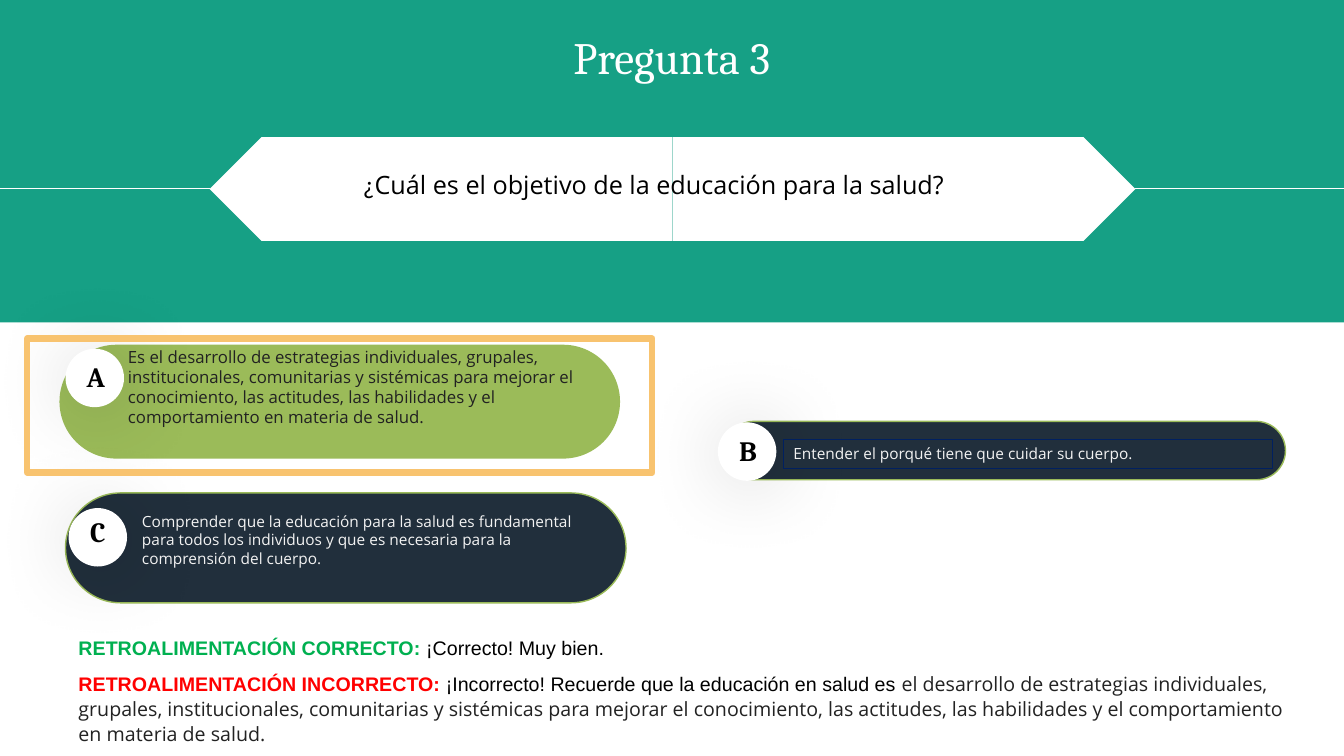
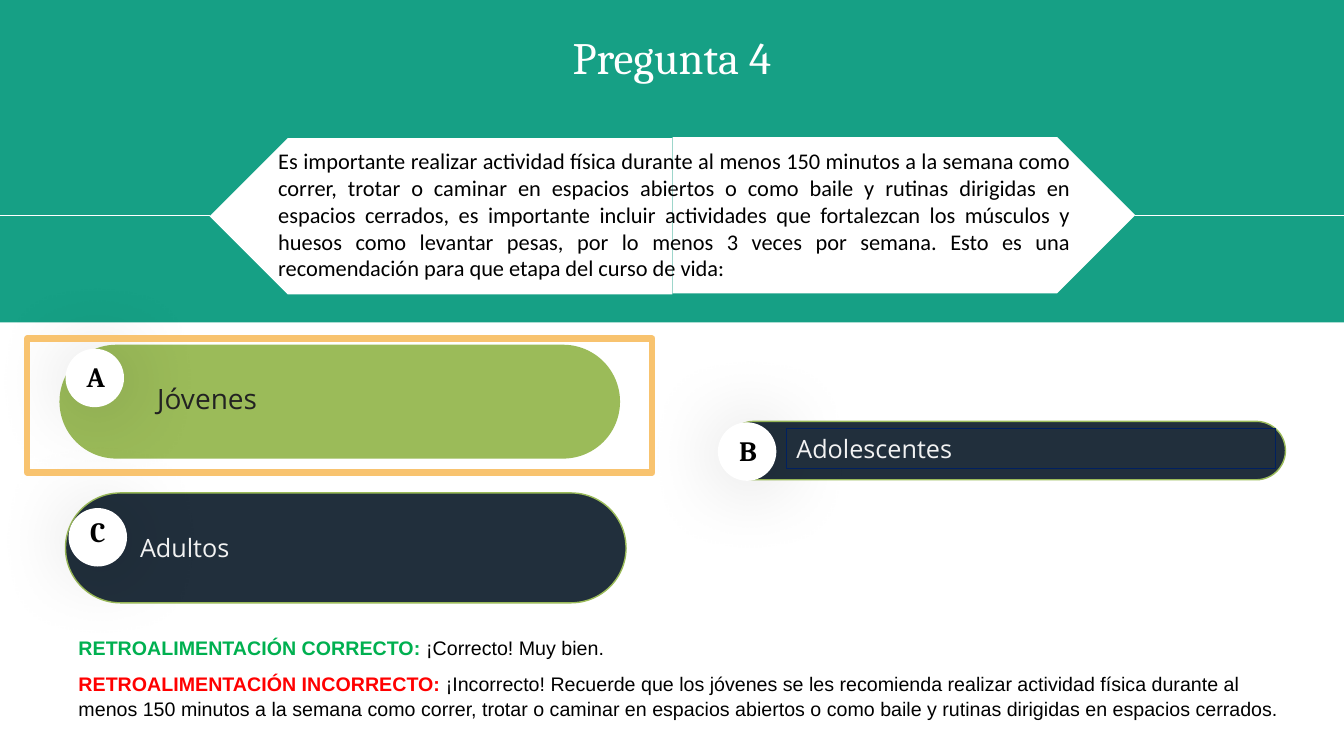
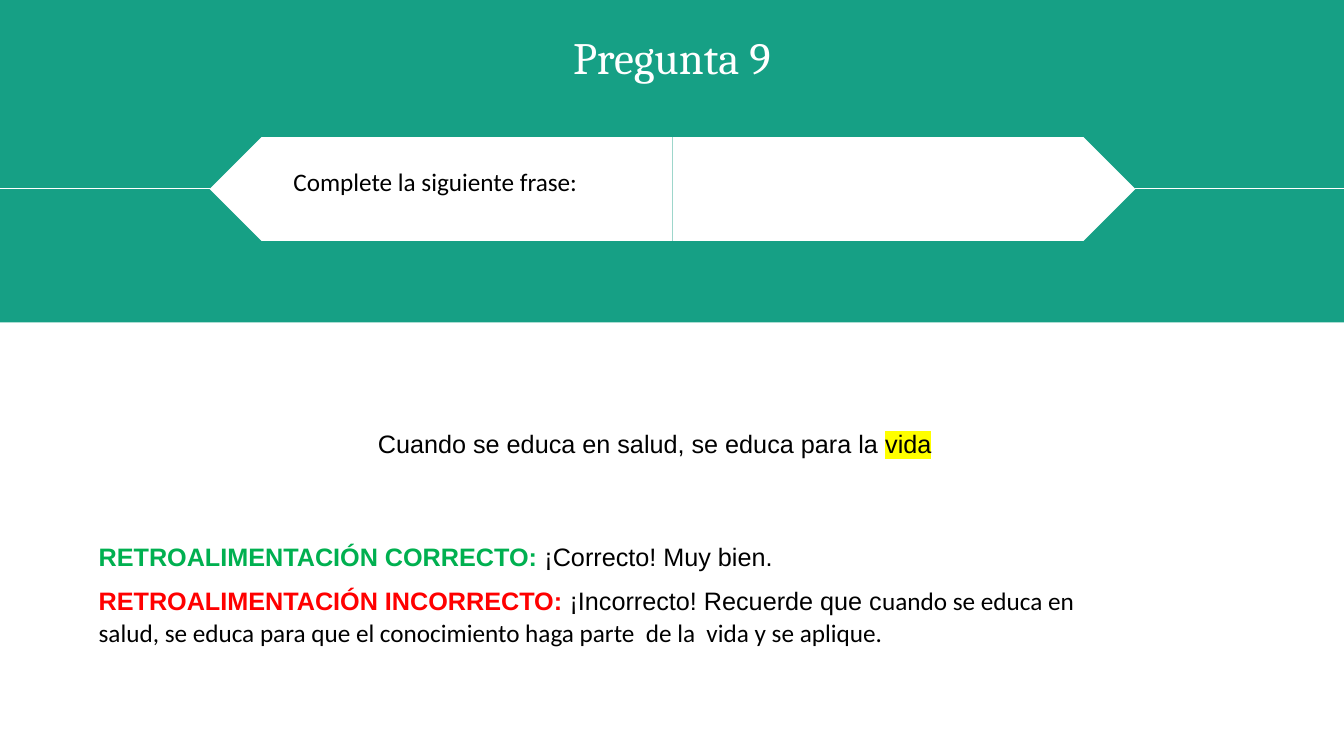
"""Build three quiz slides that share a band, a question banner and feedback."""
from dataclasses import dataclass
from typing import NamedTuple, Optional

from lxml import etree
from pptx import Presentation
from pptx import util as u
from pptx.dml.color import RGBColor
from pptx.enum import shapes, text
from pptx.oxml.ns import qn
from pptx.shapes.autoshape import Shape
from pptx.slide import Slide

EMU_PER_PX = 9144
MSO = shapes.MSO_SHAPE
ALIGN = text.PP_ALIGN
ANCHOR = text.MSO_ANCHOR


@dataclass(frozen=True)
class Theme:
    band: str = "16A085"
    white: str = "FFFFFF"
    black: str = "000000"
    navy: str = "212F3C"
    navy_edge: str = "002060"
    lime: str = "9BBB59"
    frame: str = "F8C36F"
    pale: str = "F2F2F2"
    ink: str = "222222"
    correct: str = "00B050"
    wrong: str = "FF0000"
    marker: str = "FFFF00"
    serif: str = "Cambria"
    sans: str = "Open Sans"
    plain: str = "Arial"
    body: str = "Calibri"
    title: int = 32
    letter: int = 20
    large: int = 20
    medium: int = 18
    question: int = 16
    feedback: int = 14
    answer: int = 12
    small: int = 11


T = Theme()


class Box(NamedTuple):
    x: int
    y: int
    w: int
    h: int


@dataclass(frozen=True)
class Span:
    text: str
    font: str
    size: int
    color: str = T.black
    bold: bool = False
    highlight: Optional[str] = None


@dataclass(frozen=True)
class Option:
    letter: str
    pill: Box
    disc: Box
    label: Box
    fill: str
    outline: Optional[str]
    answer_fill: Optional[str] = None


@dataclass(frozen=True)
class Answer:
    box: Box
    span: Span


@dataclass(frozen=True)
class Question:
    spans: list[Span]
    box: Box
    height: int = 103
    left_drop: int = 0
    align: ALIGN = ALIGN.LEFT


@dataclass(frozen=True)
class Feedback:
    box: Box
    size: int
    wrong: list[Span]


@dataclass(frozen=True)
class Quiz:
    title: str
    question: Question
    feedback: Feedback
    answers: tuple[Answer, ...] = ()
    phrase: Optional[list[Span]] = None


BAND = Box(0, 0, 1333, 320)
TITLE = Box(0, 24, 1333, 64)
FRAME = Box(27, 336, 620, 133)
PHRASE = Box(365, 420, 667, 40)
PLATE_X, PLATE_Y, PLATE_W = 208, 136, 459

OPTIONS = (
    Option("B", Box(719, 418, 556, 58), Box(712, 419, 58, 58),
           Box(724, 430, 36, 34), T.navy, T.lime, T.navy),
    Option("A", Box(59, 342, 556, 113), Box(65, 346, 58, 58),
           Box(77, 356, 36, 34), T.lime, None),
    Option("C", Box(65, 489, 556, 109), Box(68, 504, 58, 58),
           Box(79, 510, 36, 34), T.navy, T.lime),
)

QUIZZES = (
    Quiz(
        "Pregunta 3",
        Question([Span("¿", T.body, T.medium),
                  Span("Cuál es el objetivo de la educación para la salud?",
                       T.sans, T.medium)],
                 Box(360, 166, 776, 34)),
        Feedback(Box(68, 624, 1235, 141), T.feedback, [
            Span("¡Incorrecto! Recuerde que la educación en salud es ", T.plain, T.feedback),
            Span("el desarrollo de estrategias individuales, grupales, institucionales, "
                 "comunitarias y sistémicas para mejorar el conocimiento, las actitudes, "
                 "las habilidades y el comportamiento en materia de salud.",
                 T.sans, T.feedback, T.ink)]),
        (Answer(Box(777, 436, 485, 29),
                Span("Entender el porqué tiene que cuidar su cuerpo.",
                     T.sans, T.small, T.pale)),
         Answer(Box(117, 339, 485, 91),
                Span("Es el desarrollo de estrategias individuales, grupales, "
                     "institucionales, comunitarias y sistémicas para mejorar el "
                     "conocimiento, las actitudes, las habilidades y el "
                     "comportamiento en materia de salud.",
                     T.sans, T.answer, T.ink)),
         Answer(Box(131, 503, 471, 66),
                Span("Comprender que la educación para la salud es fundamental para "
                     "todos los individuos y que es necesaria para la comprensión "
                     "del cuerpo.", T.sans, T.small, T.pale))),
    ),
    Quiz(
        "Pregunta 4",
        Question([Span("Es importante realizar actividad física durante al menos 150 "
                       "minutos a la semana como correr, trotar o caminar en espacios "
                       "abiertos o como baile y rutinas dirigidas en espacios cerrados, "
                       "es importante incluir actividades que fortalezcan los músculos "
                       "y huesos como levantar pesas, por lo menos 3 veces por semana. "
                       "Esto es una recomendación para que etapa del curso de vida:",
                       T.body, T.question)],
                 Box(276, 145, 786, 135), 155, 1, ALIGN.JUSTIFY),
        Feedback(Box(68, 624, 1235, 94), T.feedback, [
            Span("¡Incorrecto! Recuerde que los jóvenes se les recomienda realizar "
                 "actividad física durante al menos 150 minutos a la semana como correr, "
                 "trotar o caminar en espacios abiertos o como baile y rutinas dirigidas "
                 "en espacios cerrados.", T.plain, T.feedback)]),
        (Answer(Box(780, 425, 485, 40), Span("Adolescentes", T.sans, T.medium, T.pale)),
         Answer(Box(146, 374, 485, 44), Span("Jóvenes", T.sans, T.large, T.ink)),
         Answer(Box(129, 523, 471, 40), Span("Adultos", T.sans, T.medium, T.pale))),
    ),
    Quiz(
        "Pregunta 9",
        Question([Span("Complete la siguiente frase:", T.body, T.medium)],
                 Box(291, 165, 776, 30)),
        Feedback(Box(88, 530, 1021, 145), T.medium, [
            Span("¡Incorrecto! Recuerde que c", T.plain, T.medium),
            Span("uando se educa en salud, se educa para que el conocimiento haga "
                 "parte  de la  vida y se aplique.", T.body, T.medium)]),
        phrase=[Span("Cuando se educa en salud, se educa para la ", T.plain, T.medium),
                Span("vida", T.plain, T.medium, highlight=T.marker)],
    ),
)


def px(n: int) -> u.Emu:
    return u.Emu(n * EMU_PER_PX)


def place(box: Box) -> tuple[u.Emu, ...]:
    return tuple(px(n) for n in box)


def rgb(color: str) -> RGBColor:
    return RGBColor.from_string(color)


def paint(sp: Shape, fill: Optional[str], line: Optional[str] = None, width: float = 1) -> None:
    if fill:
        sp.fill.solid()
        sp.fill.fore_color.rgb = rgb(fill)
    else:
        sp.fill.background()
    if line:
        sp.line.color.rgb = rgb(line)
        sp.line.width = u.Pt(width)
    else:
        sp.line.fill.background()


def add_shape(s: Slide, kind: MSO, box: Box, fill: Optional[str],
              line: Optional[str] = None, width: float = 1) -> Shape:
    sp = s.shapes.add_shape(kind, *place(box))
    sp.shadow.inherit = False
    paint(sp, fill, line, width)
    return sp


def style_run(r, span: Span) -> None:
    r.font.name = span.font
    r.font.size = u.Pt(span.size)
    r.font.bold = span.bold
    r.font.color.rgb = rgb(span.color)
    if span.highlight:
        mark = etree.Element(qn("a:highlight"))
        etree.SubElement(mark, qn("a:srgbClr"), val=span.highlight)
        r._r.get_or_add_rPr().find(qn("a:latin")).addprevious(mark)


def add_text(s: Slide, box: Box, paragraphs: list[list[Span]], align: ALIGN = ALIGN.LEFT,
             anchor: ANCHOR = ANCHOR.TOP, inset: bool = True) -> Shape:
    sp = s.shapes.add_textbox(*place(box))
    tf = sp.text_frame
    tf.word_wrap = True
    tf.auto_size = text.MSO_AUTO_SIZE.SHAPE_TO_FIT_TEXT
    tf.vertical_anchor = anchor
    if not inset:
        tf.margin_left = tf.margin_right = tf.margin_top = tf.margin_bottom = 0
    for i, spans in enumerate(paragraphs):
        p = tf.add_paragraph() if i else tf.paragraphs[0]
        p.alignment = align
        for span in spans:
            r = p.add_run()
            r.text = span.text
            style_run(r, span)
    return sp


def add_title(s: Slide, title: str) -> None:
    sp = s.shapes.title
    sp.left, sp.top, sp.width, sp.height = place(TITLE)
    tf = sp.text_frame
    tf.text = title
    tf.vertical_anchor = ANCHOR.TOP
    p = tf.paragraphs[0]
    p.alignment = ALIGN.CENTER
    style_run(p.runs[0], Span(title, T.serif, T.title, T.white))
    band = add_shape(s, MSO.RECTANGLE, BAND, T.band)
    sp.element.addprevious(band.element)


def add_soft_shadow(sp: Shape) -> None:
    effects = sp.element.spPr.find(qn("a:effectLst"))
    shadow = etree.SubElement(effects, qn("a:outerShdw"), blurRad=str(u.Pt(59)),
                              dist=str(u.Pt(3)), dir="2700000", algn="tl", rotWithShape="0")
    color = etree.SubElement(shadow, qn("a:srgbClr"), val=T.black)
    etree.SubElement(color, qn("a:alpha"), val="20000")


def add_option(s: Slide, option: Option, answer: Answer) -> None:
    pill = add_shape(s, MSO.ROUNDED_RECTANGLE, option.pill, option.fill, option.outline)
    pill.adjustments[0] = 0.5
    add_soft_shadow(add_shape(s, MSO.OVAL, option.disc, T.white))
    letter = Span(option.letter, T.serif, T.letter, bold=True)
    add_text(s, option.label, [[letter]], ALIGN.CENTER, ANCHOR.MIDDLE, inset=False)
    sp = add_text(s, answer.box, [[answer.span]])
    if option.answer_fill:
        paint(sp, option.answer_fill, T.navy_edge, 0.75)


def add_rule(s: Slide, x1: int, x2: int, y: int) -> None:
    rule = s.shapes.add_connector(shapes.MSO_CONNECTOR.STRAIGHT, x1, y, x2, y)
    rule.line.color.rgb = rgb(T.white)
    rule.line.width = u.Pt(0.75)
    etree.SubElement(rule.element.spPr, qn("a:effectLst"))


def add_question(s: Slide, q: Question) -> None:
    right = add_shape(s, MSO.PENTAGON,
                      Box(PLATE_X + PLATE_W, PLATE_Y, PLATE_W, q.height), T.white)
    left = add_shape(s, MSO.PENTAGON,
                     Box(PLATE_X, PLATE_Y + q.left_drop, PLATE_W, q.height), T.white)
    left.element.spPr.find(qn("a:xfrm")).set("flipH", "1")
    add_text(s, q.box, [q.spans], q.align, ANCHOR.MIDDLE, inset=False)
    middle = right.top + right.height // 2
    add_rule(s, right.left + right.width, px(BAND.w), middle)
    add_rule(s, 0, left.left, middle)


def add_feedback(s: Slide, f: Feedback) -> None:
    good = [Span("RETROALIMENTACIÓN CORRECTO: ", T.plain, f.size, T.correct, True),
            Span("¡Correcto! Muy bien.", T.plain, f.size)]
    bad = [Span("RETROALIMENTACIÓN INCORRECTO: ", T.plain, f.size, T.wrong, True), *f.wrong]
    sp = add_text(s, f.box, [good, bad])
    for p in sp.text_frame.paragraphs:
        p.line_spacing = 1.07
    sp.text_frame.paragraphs[1].space_before = u.Pt(8)


def add_quiz(prs, quiz: Quiz) -> None:
    s = prs.slides.add_slide(prs.slide_layouts.get_by_name("Title Only"))
    add_title(s, quiz.title)
    for option, answer in zip(OPTIONS, quiz.answers):
        add_option(s, option, answer)
    add_question(s, quiz.question)
    if quiz.phrase:
        add_text(s, PHRASE, [quiz.phrase])
    add_feedback(s, quiz.feedback)
    if quiz.answers:
        add_shape(s, MSO.RECTANGLE, FRAME, None, T.frame, 4.5)


def main() -> None:
    prs = Presentation()
    prs.slide_width, prs.slide_height = px(1333), px(750)
    for quiz in QUIZZES:
        add_quiz(prs, quiz)
    prs.save("out.pptx")


if __name__ == "__main__":
    main()
